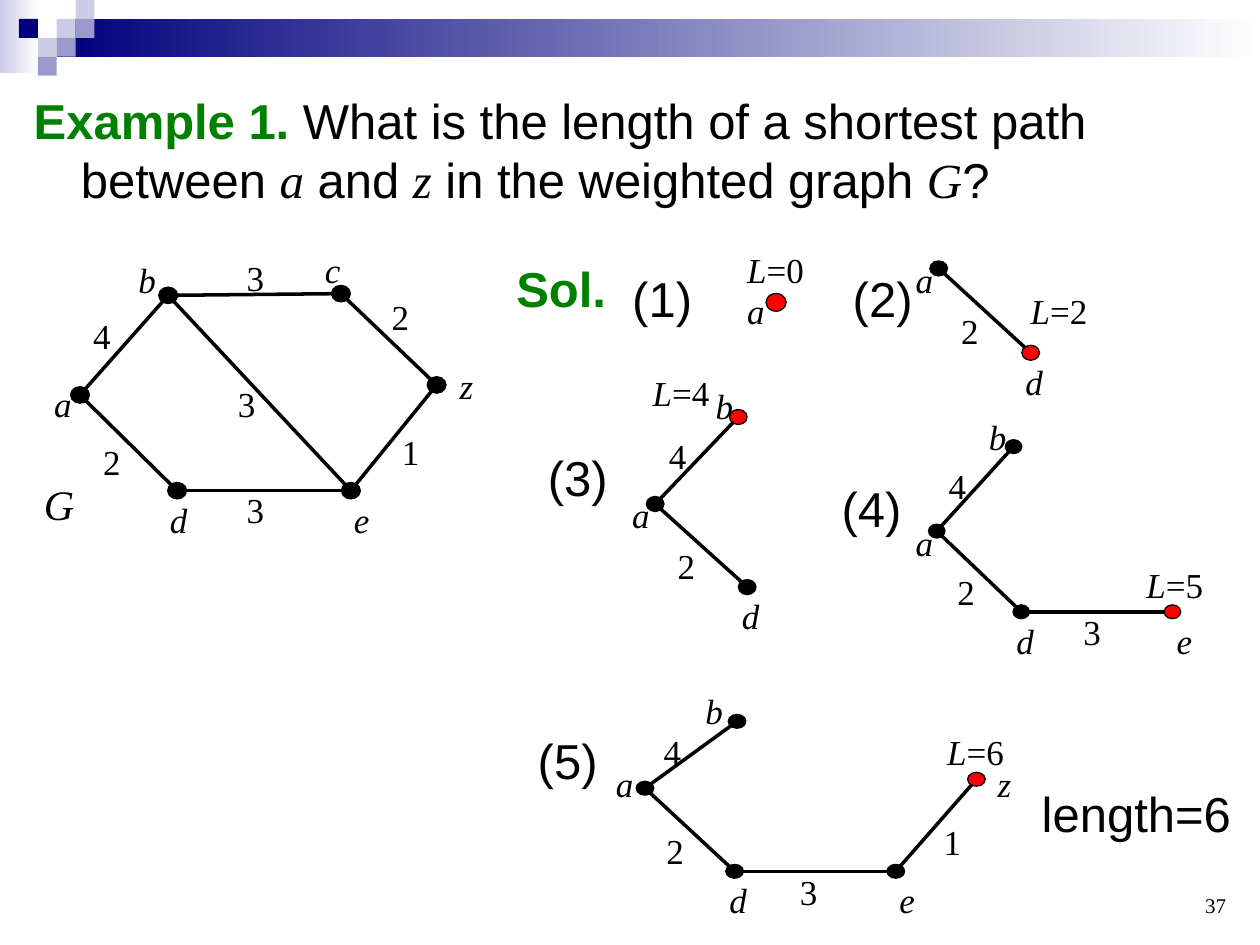
"""Build the slide that finds a shortest path in a weighted graph step by step."""
from dataclasses import dataclass

from lxml import etree
from pptx import Presentation
from pptx.dml.color import RGBColor
from pptx.enum.shapes import MSO_CONNECTOR, MSO_SHAPE
from pptx.enum.text import MSO_ANCHOR, MSO_AUTO_SIZE, PP_ALIGN
from pptx.oxml.ns import qn
from pptx.shapes.autoshape import Shape
from pptx.shapes.shapetree import GroupShapes, SlideShapes
from pptx.util import Pt

RECTANGLE = MSO_SHAPE.RECTANGLE
DOT = MSO_SHAPE.FLOWCHART_CONNECTOR
STRAIGHT = MSO_CONNECTOR.STRAIGHT
FIT_TEXT = MSO_AUTO_SIZE.SHAPE_TO_FIT_TEXT
BOTTOM = MSO_ANCHOR.BOTTOM
RIGHT = PP_ALIGN.RIGHT

SANS, SERIF = "Arial", "Times New Roman"
BLACK, WHITE, RED, GREEN = "000000", "FFFFFF", "FF0000", "008000"
NAVY, LAVENDER, PERIWINKLE = "00007D", "CCCCE6", "9999CC"
CELL = 10.8

Position = tuple[float, float]
Bounds = tuple[float, float, float, float]


@dataclass(frozen=True)
class Span:
    """A stretch of text in one style."""
    text: str
    font: str = SANS
    color: str = BLACK
    bold: bool = False
    italic: bool = False


@dataclass(frozen=True)
class Graph:
    """Dots by centre, edges as letter pairs, and labels by box corner."""
    dots: dict[str, Position]
    edges: list[str]
    labels: list[tuple[str, float, float]]
    dot_size: Position
    label_size: Position
    active: str = ""
    step: tuple[str, float, float] | None = None
    distance: tuple[str, float, float] | None = None


GRAPHS = [
    Graph(
        {"a": (45.7, 225.7), "b": (96.1, 168.8), "c": (194.8, 167.8),
         "z": (249.5, 220), "d": (101.2, 280.4), "e": (200.5, 280.4)},
        ["bc", "be", "zc", "de", "ad", "ab", "ez"],
        [("b", 72, 144), ("c", 178.6, 138.2), ("e", 195.1, 281.5),
         ("d", 90, 281.5), ("a", 23.8, 215.3), ("z", 255.6, 204.5),
         ("2", 216.7, 165.6), ("1", 222.5, 242.6), ("3", 128.9, 215.3),
         ("3", 133.9, 143.3), ("4", 46.1, 176.4), ("2", 51.8, 248.4),
         ("3", 133.9, 275.8)],
        (10.8, 9.4), (22.3, 28.8)),
    Graph(
        {"a": (443.5, 172.8)}, [], [("a", 419.8, 162)],
        (11.5, 10.1), (24.5, 31.7), "a",
        ("(1)", 354.2, 149.8), ("0", 419.8, 138.2)),
    Graph(
        {"a": (536.4, 153.4), "d": (589, 201.6)}, ["ad"],
        [("d", 578.9, 202.3), ("a", 516.2, 144), ("2", 542.2, 173.5)],
        (10.1, 8.6), (21.6, 25.9), "d",
        ("(2)", 480.2, 149.8), ("2", 581.8, 162)),
    Graph(
        {"a": (374.4, 288), "b": (421.9, 238.3), "d": (427, 335.5)},
        ["ab", "ad"],
        [("b", 401.8, 216), ("d", 416.9, 336.2), ("a", 354.2, 278.6),
         ("4", 375.1, 244.8), ("2", 380.2, 307.4)],
        (10.1, 8.6), (21.6, 25.2), "b",
        ("(3)", 306, 252), ("4", 365.8, 208.8)),
    Graph(
        {"a": (535.3, 303.5), "b": (579.2, 255.2),
         "d": (583.6, 349.6), "e": (670, 349.6)},
        ["ab", "ad", "de"],
        [("b", 558, 234), ("e", 665.3, 350.6), ("d", 573.8, 350.6),
         ("a", 516.2, 294.5), ("4", 535, 262.1), ("2", 540, 322.6),
         ("3", 612, 345.6)],
        (9.4, 7.9), (19.4, 24.5), "e",
        ("(4)", 473.8, 270), ("5", 648, 318.2)),
    Graph(
        {"a": (368.6, 450.4), "b": (421.2, 412.2), "d": (419.8, 497.9),
         "e": (511.9, 497.9), "z": (558, 445.3)},
        ["ab", "ad", "de", "ez"],
        [("b", 396, 390.2), ("e", 506.9, 498.2), ("d", 409.7, 498.2),
         ("a", 344.9, 432), ("z", 563, 432), ("1", 532.1, 465.1),
         ("2", 373.7, 470.2), ("3", 450, 493.9), ("4", 372.2, 414)],
        (10.1, 7.9), (20.9, 25.2), "z",
        ("(5)", 300.2, 414), ("6", 534.2, 414)),
]

SQUARES = [
    (3, 1, LAVENDER), (4, 0, LAVENDER), (4, 1, PERIWINKLE), (2, 2, LAVENDER),
    (1, 1, NAVY), (3, 2, PERIWINKLE), (2, 3, PERIWINKLE),
]

QUESTION = [
    Span("Example 1. ", color=GREEN, bold=True),
    Span("What is the length of a shortest path between "),
    Span("a", SERIF, italic=True),
    Span(" and "),
    Span("z", SERIF, italic=True),
    Span(" in the weighted graph "),
    Span("G", SERIF, italic=True),
    Span("?"),
]


def rgb(color: str) -> RGBColor:
    """Turn a hex string into a colour."""
    return RGBColor.from_string(color)


def add_shape(shapes: SlideShapes | GroupShapes, kind: MSO_SHAPE,
              bounds: Bounds, color: str) -> Shape:
    """Add a plain filled shape without an outline."""
    shape = shapes.add_shape(kind, *map(Pt, bounds))
    shape.shadow.inherit = False
    shape.fill.solid()
    shape.fill.fore_color.rgb = rgb(color)
    shape.line.fill.background()
    return shape


def add_fading_bar(shapes: SlideShapes, bounds: Bounds, color: str) -> None:
    """Add a bar that fades to white on the right."""
    fill = add_shape(shapes, RECTANGLE, bounds, color).fill
    fill.gradient()
    fill.gradient_angle = 0
    for stop, shade in zip(fill.gradient_stops, (color, WHITE)):
        stop.color.rgb = rgb(shade)


def add_text(shapes: SlideShapes | GroupShapes, spans: list[Span],
             bounds: Bounds, size: float, wrap: bool = False) -> Shape:
    """Add a one-paragraph text box made of styled spans."""
    box = shapes.add_textbox(*map(Pt, bounds))
    box.text_frame.word_wrap = wrap
    box.text_frame.auto_size = FIT_TEXT
    para = box.text_frame.paragraphs[0]
    for span in spans:
        run = para.add_run()
        run.text = span.text
        run.font.size = Pt(size)
        run.font.name = span.font
        run.font.bold = span.bold
        run.font.italic = span.italic
        run.font.color.rgb = rgb(span.color)
    return box


def add_edge(shapes: GroupShapes, start: Position, end: Position) -> None:
    """Join two points with a line."""
    edge = shapes.add_connector(STRAIGHT, *map(Pt, (*start, *end)))
    edge.line.color.rgb = rgb(BLACK)
    edge.line.width = Pt(2)
    etree.SubElement(edge.element.spPr, qn("a:effectLst"))


def draw_graph(shapes: SlideShapes, graph: Graph) -> None:
    """Draw one graph as a group of edges, dots and labels."""
    members = shapes.add_group_shape().shapes
    for start, end in graph.edges:
        add_edge(members, graph.dots[start], graph.dots[end])
    width, height = graph.dot_size
    for name, (x, y) in graph.dots.items():
        color = RED if name == graph.active else BLACK
        bounds = (x - width / 2, y - height / 2, width, height)
        dot = add_shape(members, DOT, bounds, color)
        dot.line.color.rgb = rgb(BLACK)
        dot.line.width = Pt(0.75)
    for text, left, top in graph.labels:
        span = Span(text, SERIF, italic=text.isalpha())
        add_text(members, [span], (left, top, *graph.label_size), 20)
    if graph.step:
        text, left, top = graph.step
        add_text(members, [Span(text)], (left, top, 49, 41), 28)
    if graph.distance:
        value, left, top = graph.distance
        spans = [Span("L", SERIF, italic=True), Span(f"={value}", SERIF)]
        add_text(members, spans, (left, top, 48, 31.7), 20)


def main() -> None:
    """Build and save the deck."""
    deck = Presentation()
    deck.slide_width, deck.slide_height = Pt(720), Pt(540)
    page = deck.slides.add_slide(deck.slide_layouts[6])
    shapes = page.shapes

    add_fading_bar(shapes, (0, 0, 22.3, 41.8), LAVENDER)
    add_fading_bar(shapes, (32.4, 10.8, 687.6, 21.6), NAVY)
    for column, row, color in SQUARES:
        add_shape(shapes, RECTANGLE, (column * CELL, row * CELL, CELL, CELL), color)

    question = add_text(shapes, QUESTION, (12.2, 48.2, 689, 75), 28, wrap=True)
    para = question.text_frame.paragraphs[0]
    para.space_before = Pt(3)
    properties = para._p.get_or_add_pPr()
    properties.set("marL", str(Pt(27)))
    properties.set("indent", str(-Pt(27)))

    add_text(shapes, [Span("G", SERIF, italic=True)], (18, 270, 32.4, 36.7), 24)
    add_text(shapes, [Span("Sol.", color=GREEN, bold=True)], (288, 144, 74.2, 41), 28)
    add_text(shapes, [Span("length=6")], (588.2, 444.2, 123.8, 41), 28)
    for graph in GRAPHS:
        draw_graph(shapes, graph)

    number = add_text(shapes, [Span("37", SERIF)], (540, 491.8, 167.8, 36), 12, wrap=True)
    number.text_frame.auto_size = MSO_AUTO_SIZE.NONE
    number.text_frame.vertical_anchor = BOTTOM
    number.text_frame.paragraphs[0].alignment = RIGHT
    deck.save("out.pptx")


if __name__ == "__main__":
    main()
